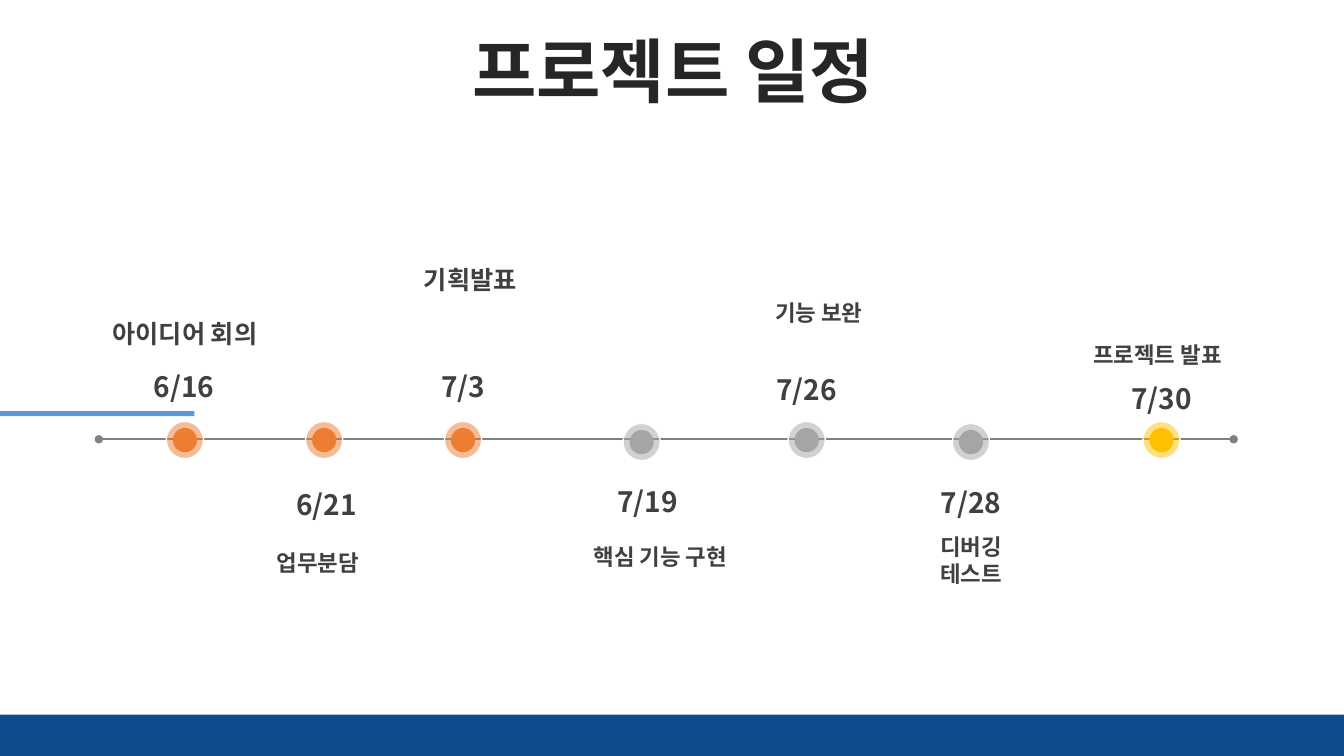
from dataclasses import dataclass

from lxml.etree import SubElement
from pptx import Presentation
from pptx.dml.color import RGBColor
from pptx.enum.shapes import MSO_CONNECTOR, MSO_SHAPE
from pptx.enum.text import MSO_ANCHOR, PP_ALIGN
from pptx.oxml.ns import qn
from pptx.util import Cm, Pt

ORANGE = RGBColor(0xED, 0x7D, 0x31)
GRAY = RGBColor(0xA5, 0xA5, 0xA5)
GOLD = RGBColor(0xFF, 0xC0, 0x00)
WHITE = RGBColor(0xFF, 0xFF, 0xFF)
SKY = RGBColor(0x5B, 0x9B, 0xD5)
NAVY = RGBColor(0x0C, 0x4C, 0x8A)
AXIS = RGBColor(0x80, 0x80, 0x80)
TITLE_INK = RGBColor(0x26, 0x26, 0x26)
INK = RGBColor(0x40, 0x40, 0x40)
FONT = "Noto Sans CJK KR"
WIDTH, HEIGHT = 33.87, 19.05
AXIS_DROP = 4.54
HALO, CORE = 0.94, 0.61


@dataclass
class Milestone:
    """One dated step, with offsets in centimetres from the timeline's corner."""
    date: str
    task: str
    color: RGBColor
    x: float
    dot_y: float
    date_y: float
    task_y: float
    task_size: int = 16
    task_width: float = 5.61
    date_shift: float = 0
    task_shift: float = 0


MILESTONES = [
    Milestone("6/16", "아이디어 회의", ORANGE, 2.17, 4.56, 2.66, 1.37, 18, date_shift=-0.02),
    Milestone("6/21", "업무분담", ORANGE, 5.68, 4.56, 5.64, 7.19, 16, 7.39, 0.06, -0.16),
    Milestone("7/3", "기획발표", ORANGE, 9.18, 4.56, 2.66, 0, 18, 6.12, 0, 0.18),
    Milestone("7/19", "핵심 기능 구현", GRAY, 13.68, 4.61, 5.56, 7.03, 16, 5.94, 0.15, 0.47),
    Milestone("7/26", "기능 보완", GRAY, 17.84, 4.56, 2.72, 0.89, task_shift=0.31),
    Milestone("7/28", "디버깅\n테스트", GRAY, 21.98, 4.61, 5.59, 6.78),
    Milestone("7/30", "프로젝트 발표", GOLD, 26.78, 4.56, 2.97, 1.93, task_shift=-0.1),
]


def set_all(target, formats):
    """Set every attribute named in the dict of format values."""
    for name, value in formats.items():
        setattr(target, name, value)


def add_text(slide, box, text, size, color=INK, frame_format=None, paragraph_format=None):
    """Write bold centred lines in the box."""
    frame = slide.shapes.add_textbox(*map(Cm, box)).text_frame
    set_all(frame, {"word_wrap": True, **(frame_format or {})})
    frame.text = text
    for paragraph in frame.paragraphs:
        set_all(paragraph, {"alignment": PP_ALIGN.CENTER, **(paragraph_format or {})})
        for run in paragraph.runs:
            set_all(run.font, {"size": Pt(size), "bold": True, "name": FONT})
            run.font.color.rgb = color
            SubElement(run.font._element, qn("a:ea"), typeface=FONT)


def add_centred_text(slide, center, top, width, text, size):
    """Write a label whose height follows from its size and line count."""
    lines = text.count("\n") + 1
    box = (center - width / 2, top, width, 0.25 + 0.043 * size * lines)
    add_text(slide, box, text, size)


def add_filled(slide, kind, box, color):
    """Draw a flat shape without an outline."""
    shape = slide.shapes.add_shape(kind, *map(Cm, box))
    shape.shadow.inherit = False
    shape.fill.solid()
    shape.fill.fore_color.rgb = color
    shape.line.fill.background()
    return shape


def add_dot(slide, x, y, color):
    """Draw a solid core inside a half-transparent halo centred on a point."""
    halo, core = [
        add_filled(slide, MSO_SHAPE.OVAL, (x - size / 2, y - size / 2, size, size), color)
        for size in (HALO, CORE)
    ]
    tint = halo._element.spPr.find(qn("a:solidFill")).find(qn("a:srgbClr"))
    SubElement(tint, qn("a:alpha"), val="50000")
    halo.line.color.rgb = WHITE
    halo.line.width = Pt(1)


def add_axis(slide, left, y, width):
    """Draw the time axis with a round end on each side."""
    axis = slide.shapes.add_connector(
        MSO_CONNECTOR.STRAIGHT, Cm(left), Cm(y), Cm(left + width), Cm(y))
    axis.line.color.rgb = AXIS
    axis.line.width = Pt(1.25)
    properties = axis._element.spPr
    for end in ("a:headEnd", "a:tailEnd"):
        SubElement(properties.find(qn("a:ln")), qn(end), type="oval")
    SubElement(properties, qn("a:effectLst"))


def add_timeline(slide, left, top, width):
    """Place the axis and its milestones from the top left corner."""
    add_axis(slide, left, top + AXIS_DROP, width)
    for step in MILESTONES:
        x = left + step.x
        add_dot(slide, x, top + step.dot_y, step.color)
        add_centred_text(slide, x + step.date_shift, top + step.date_y, 2.1, step.date, 20)
        add_centred_text(slide, x + step.task_shift, top + step.task_y,
                         step.task_width, step.task, step.task_size)


def add_title(slide, box):
    """Write the slide heading."""
    add_text(slide, box, "프로젝트 일정", 50, TITLE_INK,
             {"vertical_anchor": MSO_ANCHOR.MIDDLE}, {"line_spacing": 0.8})


def main():
    """Build the schedule slide and save it."""
    deck = Presentation()
    set_all(deck, {"slide_width": Cm(WIDTH), "slide_height": Cm(HEIGHT)})
    slide = deck.slides.add_slide(deck.slide_layouts[6])
    add_filled(slide, MSO_SHAPE.RECTANGLE, (0, 10.36, 4.9, 0.13), SKY)
    add_title(slide, (0.89, 0.94, 32.16, 2.01))
    add_timeline(slide, 2.49, 6.53, 28.6)
    add_filled(slide, MSO_SHAPE.RECTANGLE, (0, 18.01, WIDTH, HEIGHT - 18.01), NAVY)
    deck.save("out.pptx")


if __name__ == "__main__":
    main()
